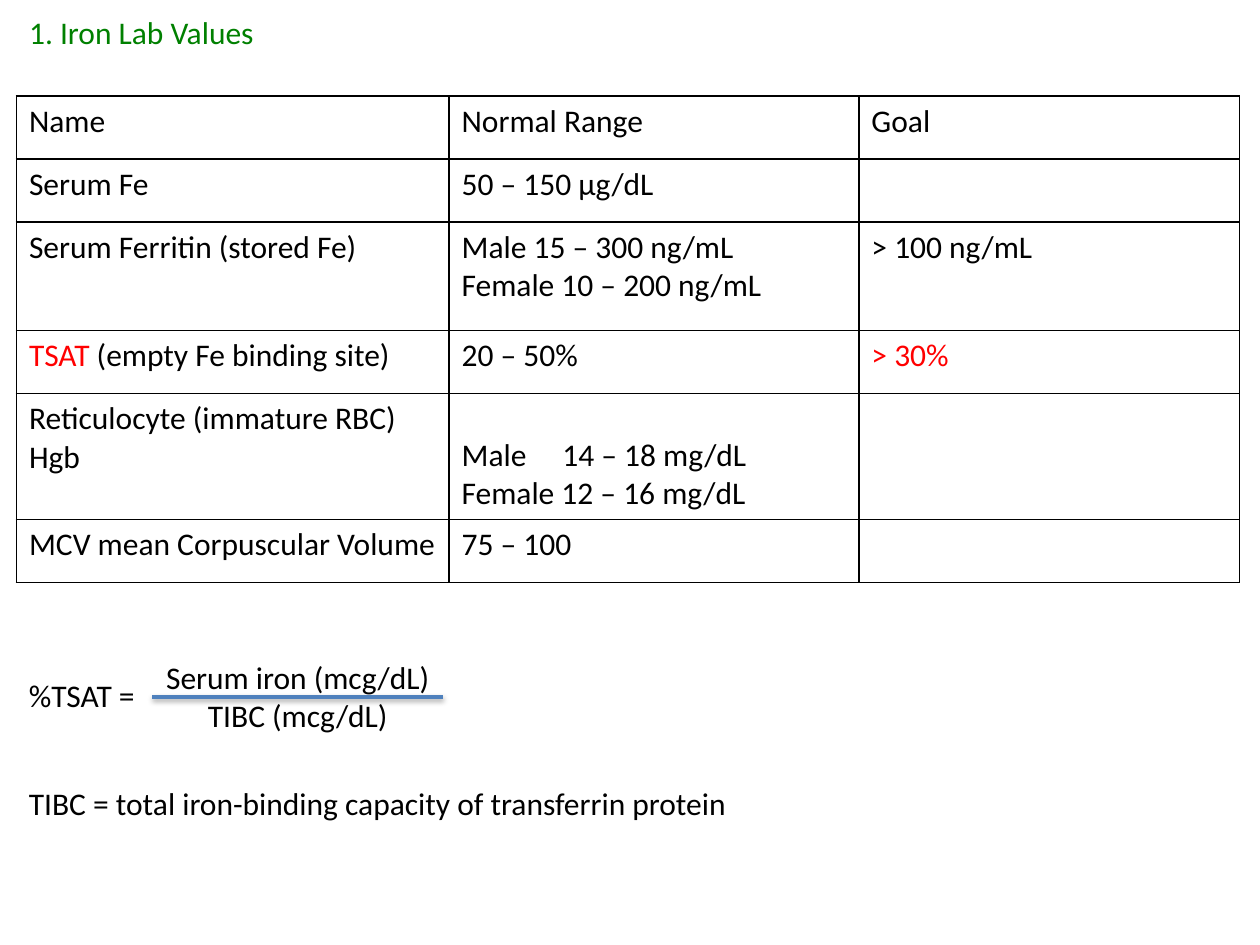
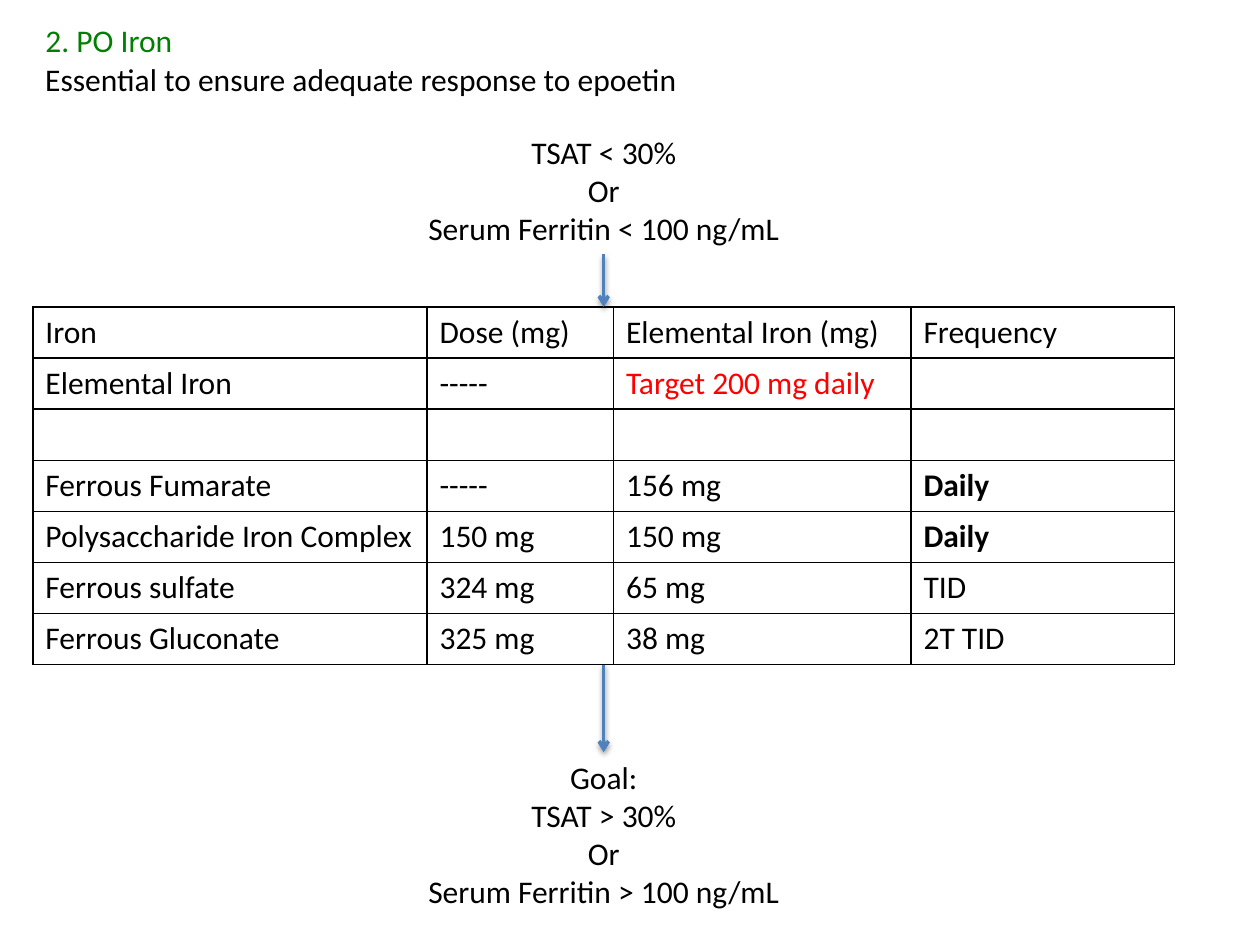
from dataclasses import dataclass

from pptx import Presentation
from pptx.dml.color import RGBColor
from pptx.enum import shapes, text
from pptx.oxml import parse_xml
from pptx.oxml.ns import nsdecls, qn
from pptx.util import Pt


@dataclass(frozen=True)
class Theme:
    font: str = "Calibri"
    size: int = 18
    step: int = 22  # height of one text line
    ink: str = "000000"
    head: str = "008000"
    key: str = "FF0000"
    line: str = "4F81BD"
    rule: int = 1
    stroke: int = 2


T = Theme()
LEFT = text.PP_ALIGN.LEFT
MID = text.PP_ALIGN.CENTER

LABS = [
    ["Name", "Normal Range", "Goal"],
    ["Serum Fe", "50 – 150 µg/dL", ""],
    ["Serum Ferritin (stored Fe)",
     "Male 15 – 300 ng/mL\nFemale 10 – 200 ng/mL", "> 100 ng/mL"],
    ["TSAT", "20 – 50%", "> 30%"],
    ["Reticulocyte (immature RBC)\nHgb",
     "Male\t14 – 18 mg/dL\nFemale 12 – 16 mg/dL", ""],
    ["MCV mean Corpuscular Volume", "75 – 100", ""],
]
DOSES = [
    ["Iron", "Dose (mg)", "Elemental Iron (mg)", "Frequency"],
    ["Elemental Iron", "-----", "Target 200 mg daily", ""],
    ["", "", "", ""],
    ["Ferrous Fumarate", "-----", "156 mg", "Daily"],
    ["Polysaccharide Iron Complex", "150 mg", "150 mg", "Daily"],
    ["Ferrous sulfate", "324 mg", "65 mg", "TID"],
    ["Ferrous Gluconate", "325 mg", "38 mg", "2T TID"],
]


def style(run, color=T.ink, bold=False):
    font = run.font
    font.name, font.size, font.bold = T.font, Pt(T.size), bold
    font.color.rgb = RGBColor.from_string(color)


def write(frame, words, color=T.ink, align=LEFT):
    frame.text = words
    for para in frame.paragraphs:
        para.alignment = align
        for run in para.runs:
            style(run, color)


def add_title(slide, words, x, y, w):
    title = slide.shapes.title
    title.left, title.top, title.width, title.height = (
        Pt(x), Pt(y), Pt(w), Pt(T.step + 7.2))
    frame = title.text_frame
    frame.auto_size = text.MSO_AUTO_SIZE.NONE
    frame.vertical_anchor = text.MSO_ANCHOR.TOP
    write(frame, words, T.head)


def add_text(slide, words, x, y, w, align=LEFT):
    high = T.step * (words.count("\n") + 1) + 7.2
    frame = slide.shapes.add_textbox(Pt(x), Pt(y), Pt(w), Pt(high)).text_frame
    frame.word_wrap = False
    write(frame, words, align=align)


def add_line(slide, x1, y1, x2, y2, arrow=False):
    """Draw a line with a soft shadow, and an arrowhead at its end if asked."""
    link = slide.shapes.add_connector(
        shapes.MSO_CONNECTOR.STRAIGHT, Pt(x1), Pt(y1), Pt(x2), Pt(y2))
    link.line.width = Pt(T.stroke)
    link.line.color.rgb = RGBColor.from_string(T.line)
    props = link._element.spPr
    if arrow:
        props.find(qn("a:ln")).append(
            parse_xml(f'<a:tailEnd {nsdecls("a")} type="arrow"/>'))
    props.append(parse_xml(
        f'<a:effectLst {nsdecls("a")}><a:outerShdw blurRad="{Pt(3.1)}" '
        f'dist="{Pt(1.6)}" dir="5400000" rotWithShape="0">'
        f'<a:srgbClr val="{T.ink}"><a:alpha val="38000"/></a:srgbClr>'
        '</a:outerShdw></a:effectLst>'))


def edge(cell):
    """Rule all four sides of a cell and leave it unfilled."""
    props = cell._tc.get_or_add_tcPr()
    for side in "LRTB":
        props.append(parse_xml(
            f'<a:ln{side} {nsdecls("a")} w="{Pt(T.rule)}"><a:solidFill>'
            f'<a:srgbClr val="{T.ink}"/></a:solidFill></a:ln{side}>'))
    cell.fill.background()


def add_table(slide, data, x, y, cols, rows):
    table = slide.shapes.add_table(
        len(rows), len(cols), Pt(x), Pt(y), Pt(sum(cols)), Pt(sum(rows))).table
    table.first_row = table.horz_banding = False
    for col, wide in zip(table.columns, cols):
        col.width = Pt(wide)
    for row, high, line in zip(table.rows, rows, data):
        row.height = Pt(high)
        for cell, words in zip(row.cells, line):
            edge(cell)
            write(cell.text_frame, words)
    return table


def set_tab(para, pos):
    para._p.get_or_add_pPr().append(parse_xml(
        f'<a:tabLst {nsdecls("a")}><a:tab pos="{Pt(pos)}" algn="l"/>'
        '</a:tabLst>'))


def lab_slide(slide):
    x = 9.4
    add_title(slide, "1. Iron Lab Values", x, 3.6, 702)
    table = add_table(slide, LABS, x, 54.8, [247.2, 234.2, 217.6],
                      [36, 36, 62, 36, 72, 36])
    name = table.cell(3, 0).text_frame.paragraphs[0]
    style(name.runs[0], T.key)
    rest = name.add_run()
    rest.text = " (empty Fe binding site)"
    style(rest)
    write(table.cell(3, 2).text_frame, "> 30%", T.key)
    blood = table.cell(4, 1)
    blood.vertical_anchor = text.MSO_ANCHOR.BOTTOM
    set_tab(blood.text_frame.paragraphs[0], 57.6)

    add_text(slide, "%TSAT =", x, 383, 77)
    left, wide, bar = 87, 166.4, 398.2
    add_text(slide, "Serum iron (mcg/dL)\nTIBC (mcg/dL)",
             left, bar - 25.6, wide, MID)
    add_line(slide, left, bar, left + wide, bar)
    add_text(slide, "TIBC = total iron-binding capacity of transferrin protein",
             x, 444.6, 419)


def dose_slide(slide):
    x, y = 18.8, 8.6
    add_title(slide, "2. PO Iron", x, y, 380)
    add_text(slide, "Essential to ensure adequate response to epoetin",
             x, y + T.step, 380)
    top, high = 175.4, 29.2
    end = top + high * len(DOSES)
    table = add_table(slide, DOSES, x, top, [225.2, 106.6, 170, 150.6],
                      [high] * len(DOSES))
    style(table.cell(1, 2).text_frame.paragraphs[0].runs[0], T.key)
    for row in (3, 4):
        style(table.cell(row, 3).text_frame.paragraphs[0].runs[0], bold=True)

    mid, wide = 345, 217.4
    left = mid - wide / 2
    add_text(slide, "TSAT < 30%\nOr\nSerum Ferritin < 100 ng/mL",
             left, 72.6, wide, MID)
    add_line(slide, mid, 145.4, mid, top, arrow=True)
    add_text(slide, "Goal:\nTSAT > 30%\nOr\nSerum Ferritin > 100 ng/mL",
             left, 429.8, wide, MID)
    add_line(slide, mid, end, mid, 429.8, arrow=True)


def main():
    deck = Presentation()
    deck.slide_width, deck.slide_height = Pt(720), Pt(540)
    for build in (lab_slide, dose_slide):
        build(deck.slides.add_slide(deck.slide_layouts[5]))
    deck.save("out.pptx")


if __name__ == "__main__":
    main()
